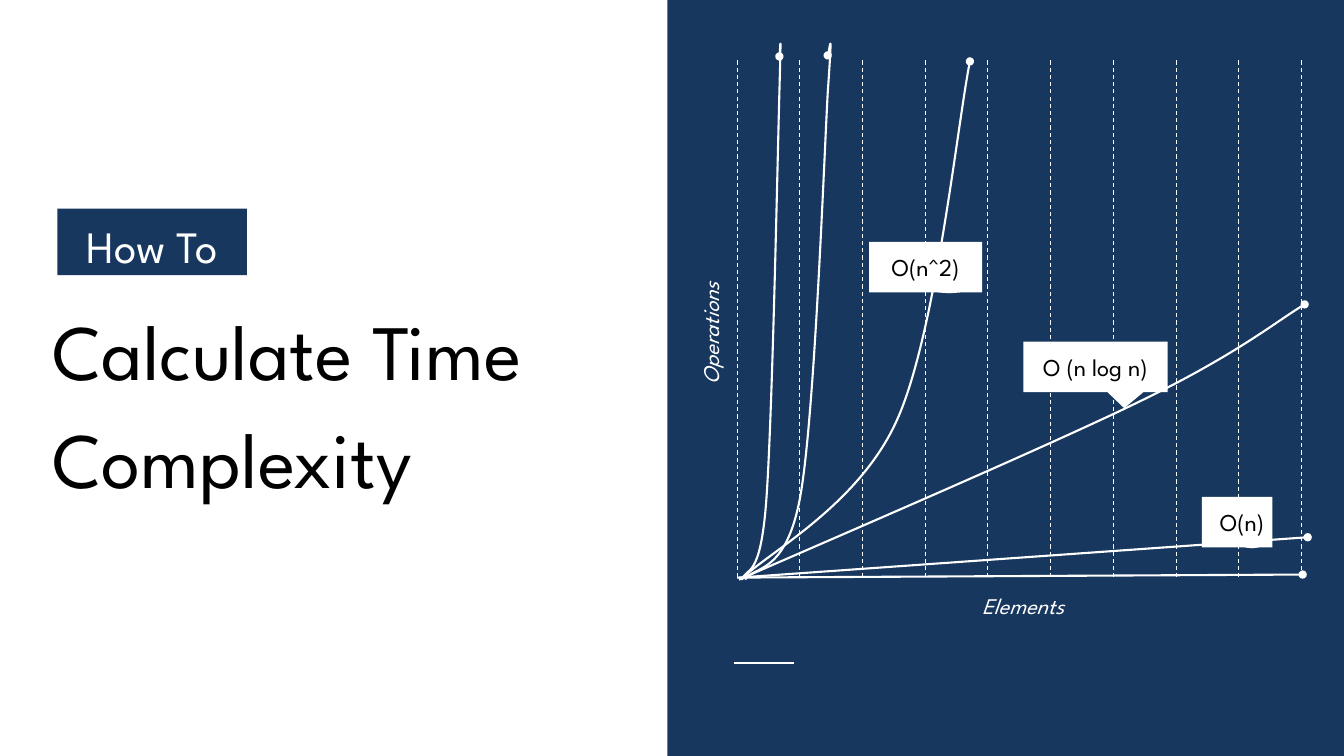
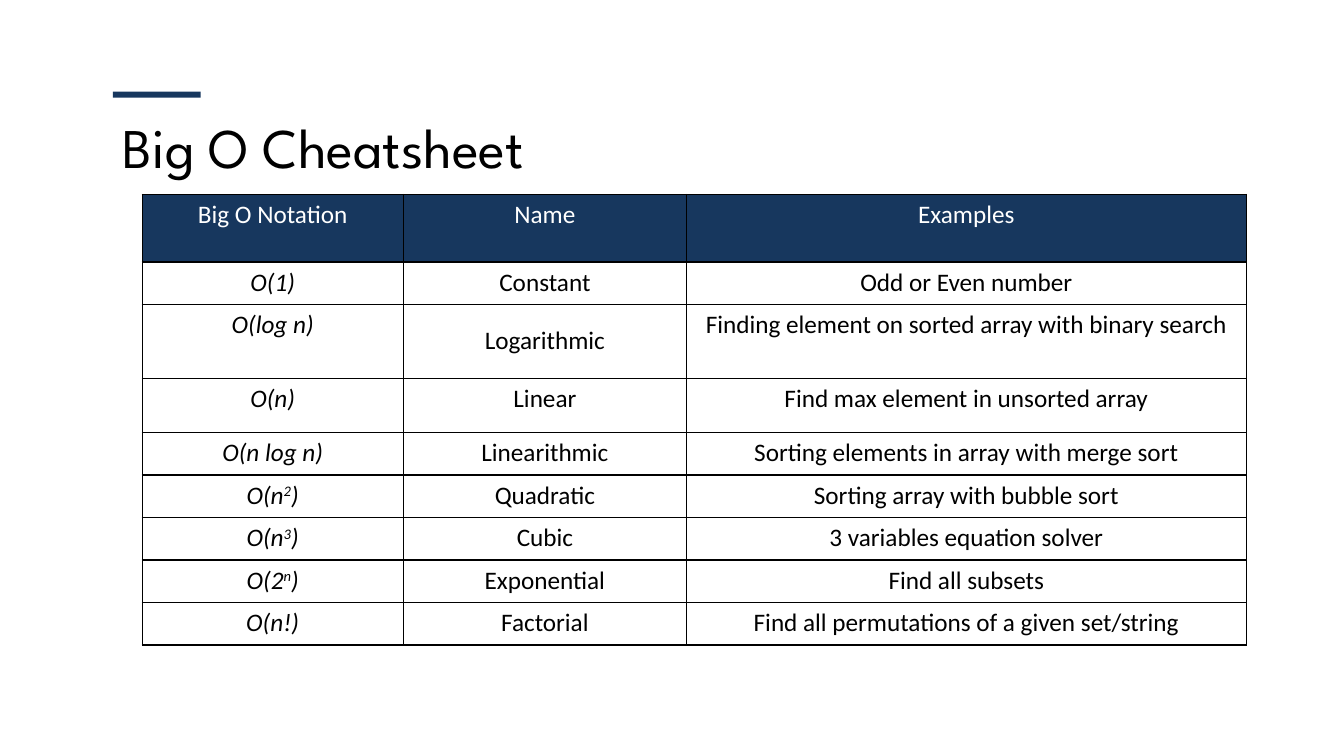
import pptx
import pptx.dml.color
import pptx.enum.dml
import pptx.enum.shapes
import pptx.enum.text
import pptx.oxml
import pptx.oxml.ns
import pptx.oxml.xmlchemy
import pptx.util

RGB = pptx.dml.color.RGBColor
NAVY = RGB(0x17, 0x37, 0x5E)
WHITE = RGB(0xFF, 0xFF, 0xFF)
PALE = RGB(0xFA, 0xFA, 0xFA)
BLACK = RGB(0, 0, 0)
HEAD, BODY = "League Spartan", "Calibri"

Inch, Pt = pptx.util.Inches, pptx.util.Pt
KIND = pptx.enum.shapes.MSO_SHAPE
ALIGN = pptx.enum.text.PP_ALIGN
MID = pptx.enum.text.MSO_ANCHOR.MIDDLE
TOP = pptx.enum.text.MSO_ANCHOR.TOP
DASH = pptx.enum.dml.MSO_LINE.DASH
qn = pptx.oxml.ns.qn
node = pptx.oxml.xmlchemy.OxmlElement

WIDE, HIGH = 13.33, 7.5
PAD = (0.13,) * 4

# Plot: dashed grid, straight lines, Bezier curves and callouts
LEFT, RIGHT, ROOF, FLOOR = 7.31, 12.91, 0.6, 5.72
GAPS = 9
PEAK = 0.49  # highest point that any curve reaches
RAYS = [
    ((7.31, 5.73), (12.92, 5.7)),
    ((7.33, 5.73), (12.97, 5.33)),
]
CURVES = [
    [(7.33, 5.75), (7.99, 5.46), (10.37, 4.44), (11.31, 3.98),
     (12.24, 3.53), (12.67, 3.18), (12.94, 3.02)],
    [(7.35, 5.75), (7.6, 5.49), (8.52, 5.02), (8.9, 4.16),
     (9.28, 3.31), (9.5, 1.2), (9.62, 0.61)],
    [(7.36, 5.75), (7.4, 5.62), (7.54, 5.77), (7.6, 4.97), (7.66, 4.16),
     (7.71, 1.66), (7.73, 0.92), (7.75, 0.19), (7.73, 0.62), (7.73, 0.56)],
    [(7.39, 5.75), (7.48, 5.61), (7.8, 5.71), (7.94, 4.91), (8.08, 4.11),
     (8.17, 1.65), (8.21, 0.92), (8.26, 0.2), (8.21, 0.61), (8.21, 0.55)],
]
# text, left, top, width, pointer, left inset
NOTES = [
    ("O (n log n)", 10.15, 3.39, 1.43, (0.2, 0.82), 0),
    ("O(n^2)", 8.62, 2.4, 1.12, (0.21, 0.52), 0),
    ("O(n)", 11.92, 4.93, 0.7, (0.21, 0.52), 0.1),
]
AXES = [
    ("Elements", (9.61, 5.74, 1.22, 0.5), 0),
    ("Operations", (6.29, 2.95, 1.48, 0.5), 270),
]

# Table: in a tuple, every second piece is superscript
COLS = [2.59, 2.81, 5.55]
TALL = {0: 0.67, 2: 0.73, 3: 0.54}
TABLE = (1.41, 1.93, sum(COLS), 4.47)
CELLS = [
    ("Big O Notation", "Name", "Examples"),
    ("O(1)", "Constant", "Odd or Even number"),
    ("O(log n)", "Logarithmic",
     "Finding element on sorted array with binary search"),
    ("O(n)", "Linear", "Find max element in unsorted array"),
    ("O(n log n)", "Linearithmic", "Sorting elements in array with merge sort"),
    (("O(n", "2", ")"), "Quadratic", "Sorting array with bubble sort"),
    (("O(n", "3", ")"), "Cubic", "3 variables equation solver"),
    (("O(2", "n", ")"), "Exponential", "Find all subsets"),
    ("O(n!)", "Factorial", "Find all permutations of a given set/string"),
]


def write(frame, text, size=18, face=HEAD, color=BLACK, italic=False,
          align=ALIGN.LEFT, anchor=TOP, pad=PAD, lead=None, gap=None):
    """Fill a text frame; odd pieces of a tuple are superscript."""
    frame.word_wrap = True
    frame.vertical_anchor = anchor
    (frame.margin_left, frame.margin_top,
     frame.margin_right, frame.margin_bottom) = map(Inch, pad)
    para = frame.paragraphs[0]
    para.alignment = align
    if lead:
        para.line_spacing = lead
    if gap:
        para.space_before = para.space_after = Pt(gap)
    for i, part in enumerate((text,) if isinstance(text, str) else text):
        run = para.add_run()
        run.text = part
        font = run.font
        font.name, font.size, font.bold = face, Pt(size), False
        font.italic, font.color.rgb = italic, color
        if i % 2:
            run._r.get_or_add_rPr().set("baseline", "30000")


def label(slide, text, box, turn=0, **form):
    item = slide.shapes.add_textbox(*map(Inch, box))
    item.rotation = turn
    write(item.text_frame, text, **form)


def block(slide, box, color, kind=KIND.RECTANGLE):
    item = slide.shapes.add_shape(kind, *map(Inch, box))
    item.shadow.inherit = False
    item.fill.solid()
    item.fill.fore_color.rgb = color
    item.line.fill.background()
    return item


def stroke(item, color=WHITE, width=1.5, dash=None, dot=False):
    """Style a line, with a round dot at its end if asked."""
    item.line.color.rgb = color
    item.line.width = Pt(width)
    if dash:
        item.line.dash_style = dash
    if dot:
        end = node("a:tailEnd")
        end.set("type", "oval")
        item._element.spPr.find(qn("a:ln")).append(end)


def rule(slide, start, end, **form):
    item = slide.shapes.add_connector(
        pptx.enum.shapes.MSO_CONNECTOR.STRAIGHT, *map(Inch, start + end))
    stroke(item, **form)
    item._element.spPr.append(node("a:effectLst"))


def curve(slide, knots):
    """Draw a chain of cubic Bezier arcs, three knots to an arc."""
    frame = [(Inch(x), Inch(max(y, PEAK))) for x, y in knots]
    form = slide.shapes.build_freeform(*frame[0])
    form.add_line_segments(frame[1:], close=False)
    item = form.convert_to_shape()
    spots = list(item._element.iter(qn("a:pt")))
    for spot, (x, y) in zip(spots, knots):
        spot.set("x", str(Inch(x) - item.left))
        spot.set("y", str(Inch(y) - item.top))
    steps = [spot.getparent() for spot in spots]
    track = steps[0].getparent()
    for step in steps[1:]:
        track.remove(step)
    for k in range(1, len(spots), 3):
        arc = node("a:cubicBezTo")
        arc.extend(spots[k:k + 3])
        track.append(arc)
    item.shadow.inherit = False
    item.fill.background()
    stroke(item, dot=True)


def edge(cell):
    """Draw a thin black border on all four sides of a cell."""
    props = cell._tc.get_or_add_tcPr()
    for i, side in enumerate("LRTB"):
        props.insert(i, pptx.oxml.parse_xml(
            f'<a:ln{side} {pptx.oxml.ns.nsdecls("a")} w="12700"><a:solidFill>'
            f'<a:srgbClr val="{BLACK}"/></a:solidFill></a:ln{side}>'))


def cover(slide):
    half = 6.62
    block(slide, (half, 0, WIDE - half, HIGH), NAVY)
    for i in range(GAPS + 1):
        x = LEFT + i * (RIGHT - LEFT) / GAPS
        rule(slide, (x, ROOF), (x, FLOOR), color=PALE, width=0.75, dash=DASH)
    for start, end in RAYS:
        rule(slide, start, end, dot=True)
    for knots in CURVES:
        curve(slide, knots)
    for text, box, turn in AXES:
        label(slide, text, box, turn, size=16, color=WHITE, italic=True)
    rule(slide, (7.28, 6.58), (7.88, 6.58))
    for text, x, y, w, tip, inset in NOTES:
        note = block(slide, (x, y, w, 0.5), WHITE,
                     KIND.ROUNDED_RECTANGULAR_CALLOUT)
        for i, val in enumerate(tip + (0,)):
            note.adjustments[i] = val
        write(note.text_frame, text, size=17.3, align=ALIGN.CENTER,
              anchor=MID, pad=(inset, 0.13, 0, 0.13))
    loose = dict(anchor=MID, lead=1.15, gap=16)
    label(slide, "Calculate Time Complexity", (0.39, 2.79, 5.9, 2.28),
          size=56, **loose)
    tag = block(slide, (0.57, 2.07, 1.88, 0.66), NAVY)
    write(tag.text_frame, "How To", size=32, color=WHITE,
          align=ALIGN.CENTER, **loose)


def sheet(slide):
    label(slide, "Big O Cheatsheet", (1.12, 1.07, 11.11, 0.77), size=40,
          pad=(0.1, 0.05, 0.1, 0.05))
    block(slide, (1.12, 0.91, 0.87, 0.06), NAVY)
    grid = slide.shapes.add_table(
        len(CELLS), len(COLS), *map(Inch, TABLE)).table
    grid.horz_banding = False
    for col, w in zip(grid.columns, COLS):
        col.width = Inch(w)
    plain = (TABLE[3] - sum(TALL.values())) / (len(CELLS) - len(TALL))
    for r, texts in enumerate(CELLS):
        grid.rows[r].height = Inch(TALL.get(r, plain))
        for c, text in enumerate(texts):
            cell = grid.cell(r, c)
            write(cell.text_frame, text, face=BODY, align=ALIGN.CENTER,
                  color=BLACK if r else WHITE, italic=r > 0 and c == 0)
            mid = text == "Logarithmic"
            cell.vertical_anchor = MID if mid else TOP
            cell.margin_left = cell.margin_right = Inch(0.19 if mid else 0.1)
            cell.margin_top = cell.margin_bottom = Inch(0.12 if mid else 0.05)
            cell.fill.solid()
            cell.fill.fore_color.rgb = WHITE if r else NAVY
            edge(cell)


def main():
    deck = pptx.Presentation()
    deck.slide_width, deck.slide_height = Inch(WIDE), Inch(HIGH)
    for draw in (cover, sheet):
        draw(deck.slides.add_slide(deck.slide_layouts[6]))
    deck.save("out.pptx")


if __name__ == "__main__":
    main()
